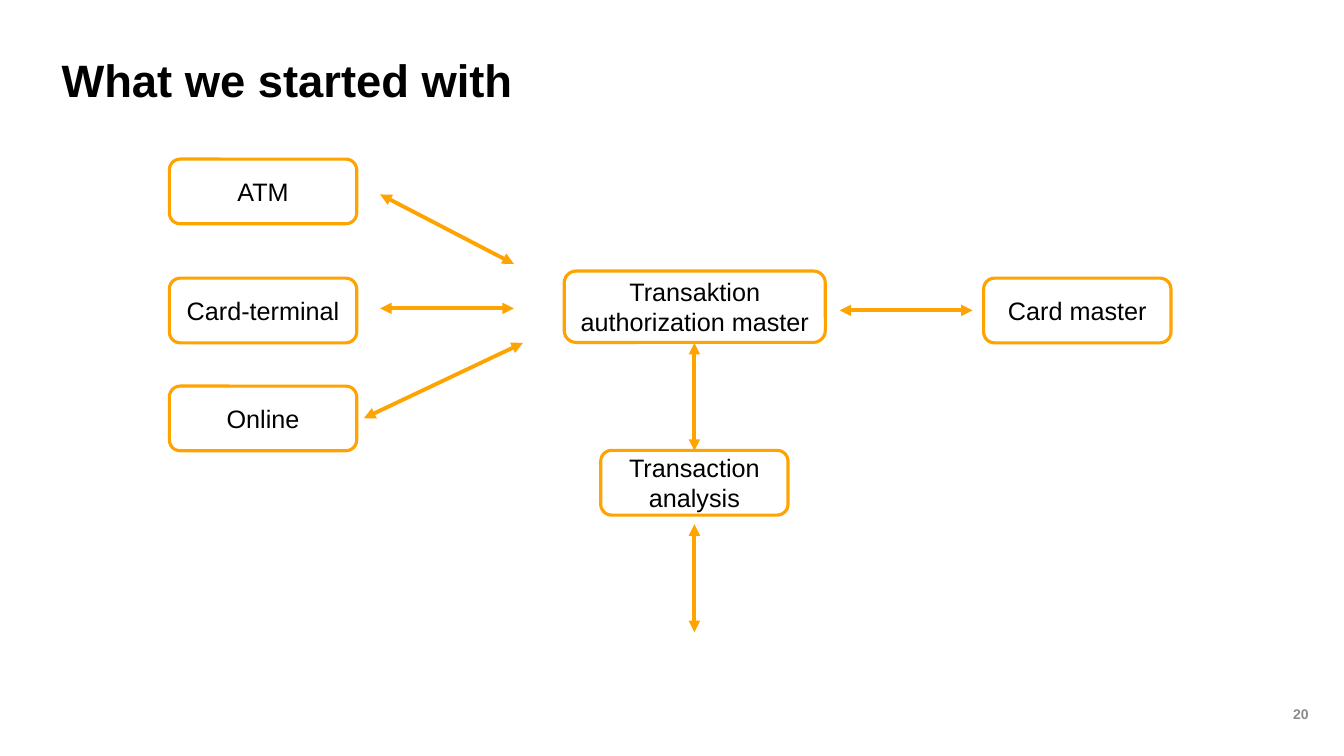
import pptx
import pptx.dml.color
import pptx.enum.shapes
import pptx.enum.text
import pptx.oxml
import pptx.oxml.ns
import pptx.util

Cm = pptx.util.Cm
Pt = pptx.util.Pt
ALIGN = pptx.enum.text.PP_ALIGN
ANCHOR = pptx.enum.text.MSO_ANCHOR

COLORS = {"paper": "FFFFFF", "accent": "FEA300", "ink": "000000", "muted": "8C8C8C"}


def color(name):
    return pptx.dml.color.RGBColor.from_string(COLORS[name])


def set_all(target, values):
    for name, value in values.items():
        setattr(target, name, value)


class FlowSlide:
    """Holds the diagram style and the slide being drawn; lengths are in cm."""

    font = "Arial"
    box_line = Pt(2.25)
    arrow_line = Pt(2.75)

    def __init__(self, deck):
        self.page = deck.slides.add_slide(deck.slide_layouts[5])

    def label(self, shape, text, size, ink="ink", bold=False, para_format=None, **frame_format):
        frame = shape.text_frame
        set_all(frame, {"word_wrap": True, "vertical_anchor": ANCHOR.MIDDLE} | frame_format)
        para = frame.paragraphs[0]
        set_all(para, {"alignment": ALIGN.CENTER} | (para_format or {}))
        span = para.add_run()
        span.text = text
        set_all(span.font, {"name": self.font, "size": Pt(size), "bold": bold})
        span.font.color.rgb = color(ink)

    def title(self, text, left, top, width, height):
        shape = self.page.shapes.title
        set_all(shape, {"left": Cm(left), "top": Cm(top),
                        "width": Cm(width), "height": Cm(height)})
        self.label(shape, text, 32.4, bold=True,
                   para_format={"alignment": ALIGN.LEFT, "line_spacing": 0.9},
                   vertical_anchor=ANCHOR.BOTTOM, margin_left=0,
                   auto_size=pptx.enum.text.MSO_AUTO_SIZE.NONE)

    def page_number(self, text, left, top, side):
        box = self.page.shapes.add_textbox(Cm(left), Cm(top), Cm(side), Cm(side))
        self.label(box, text, 10, "muted", bold=True)

    def box(self, text, left, top, width=4.72, height=1.63):
        shape = self.page.shapes.add_shape(
            pptx.enum.shapes.MSO_SHAPE.ROUNDED_RECTANGLE,
            Cm(left), Cm(top), Cm(width), Cm(height))
        shape.shadow.inherit = False
        shape.fill.solid()
        shape.fill.fore_color.rgb = color("paper")
        shape.line.color.rgb = color("accent")
        shape.line.width = self.box_line
        self.label(shape, text, 18)

    def arrow(self, *ends):
        """Draw a two-headed arrow between x1, y1 and x2, y2."""
        connector = self.page.shapes.add_connector(
            pptx.enum.shapes.MSO_CONNECTOR.STRAIGHT, *map(Cm, ends))
        connector.line.color.rgb = color("accent")
        connector.line.width = self.arrow_line
        outline = connector.line._get_or_add_ln()
        for tag in ("a:headEnd", "a:tailEnd"):
            head = pptx.oxml.parse_xml(f"<{tag} {pptx.oxml.ns.nsdecls('a')} type='triangle'/>")
            outline.append(head)
        connector._element.spPr.append(
            pptx.oxml.parse_xml(f"<a:effectLst {pptx.oxml.ns.nsdecls('a')}/>"))


def main():
    deck = pptx.Presentation()
    set_all(deck, {"slide_width": Cm(33.87), "slide_height": Cm(19.05)})
    flow = FlowSlide(deck)
    flow.title("What we started with", 1.55, 1.22, 30.23, 1.6)
    flow.page_number("20", 31.72, 16.92, 2.13)

    channel_left, middle_row, axis = 4.27, 7.01, 17.5
    flow.box("ATM", channel_left, 4.01)
    flow.box("Card-terminal", channel_left, middle_row)
    flow.box("Online", channel_left, 9.73)
    flow.box("Transaktion authorization master", axis - 3.28, 6.83, 6.58, 1.8)
    flow.box("Card master", 24.79, middle_row)
    flow.box("Transaction analysis", axis - 2.36, 11.35)

    flow.arrow(9.58, 4.9, 12.95, 6.65)
    flow.arrow(9.58, 7.77, 12.95, 7.77)
    flow.arrow(9.17, 10.54, 13.18, 8.64)
    flow.arrow(21.16, 7.82, 24.51, 7.82)
    for top in (8.64, 13.21):
        flow.arrow(axis, top, axis, top + 2.72)

    deck.save("out.pptx")


if __name__ == "__main__":
    main()
